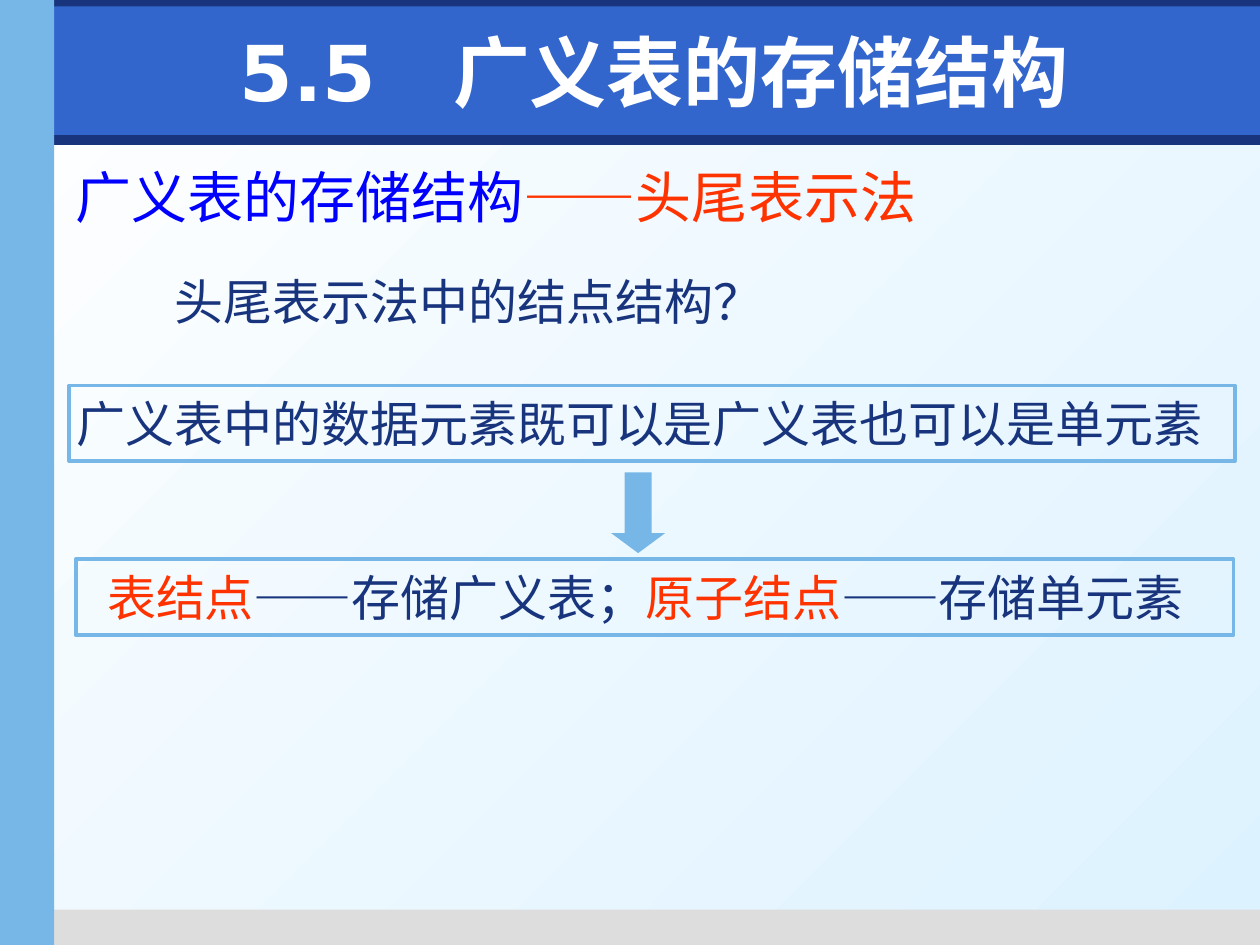
from typing import NamedTuple

from lxml import etree
from pptx import Presentation
from pptx.dml.color import RGBColor
from pptx.enum.shapes import MSO_SHAPE
from pptx.enum.text import MSO_ANCHOR, PP_ALIGN
from pptx.oxml.ns import qn
from pptx.util import Inches, Pt

RECTANGLE, DOWN_ARROW = MSO_SHAPE.RECTANGLE, MSO_SHAPE.DOWN_ARROW
MIDDLE = MSO_ANCHOR.MIDDLE
LEFT, CENTER = PP_ALIGN.LEFT, PP_ALIGN.CENTER

WIDTH, HEIGHT = Inches(10), Inches(7.5)
COLUMNS, ROWS = 100, 75
NAVY, BLUE, SKY, GREY = "17347D", "3366CC", "77B7E7", "DDDDDD"
WHITE, PALE, HEADING, RED = "FFFFFF", "DDF2FF", "0000FF", "FF3300"
SANS, ARIAL, TITLE_FONT = "Noto Sans CJK SC", "Arial", "DejaVu Sans"


class Area(NamedTuple):
    column: float
    row: float
    columns: float
    rows: float


class Block(NamedTuple):
    area: Area
    fill: str
    kind: int = RECTANGLE


class Span(NamedTuple):
    text: str
    color: str = NAVY
    font: str = ARIAL


class Line(NamedTuple):
    area: Area
    spans: list[Span]
    size: int = 28
    bold: bool = False
    align: int = LEFT
    indent: float = 1
    framed: bool = False


BLOCKS = [
    Block(Area(0.4, 10.7, 99.6, 0.8), NAVY),
    Block(Area(3.5, 72.2, 96.5, 2.8), GREY),
    Block(Area(0, 0, 100, 2.1), NAVY),
    Block(Area(4.3, 0.5, 95.7, 10.2), BLUE),
    Block(Area(0, 0, 4.3, 75), SKY),
    Block(Area(48.5, 37.5, 4.3, 6.4), SKY, DOWN_ARROW),
]

LINES = [
    Line(Area(5, 12.4, 83.3, 6.3),
         [Span("广义表的存储结构", HEADING, SANS), Span("——头尾表示法", RED, SANS)], size=32),
    Line(Area(5.5, 30.6, 92.5, 6),
         [Span("广义表中的数据元素既可以是广义表也可以是单元素", font=SANS)], indent=0.6, framed=True),
    Line(Area(12.9, 21, 74.5, 5.7), [Span("头尾表示法中的结点结构？")]),
    Line(Area(6, 44.4, 91.9, 6),
         [Span("表结点", RED), Span("——", font=SANS), Span("存储广义表；"),
          Span("原子结点", RED), Span("——", font=SANS), Span("存储单元素")],
         indent=2.5, framed=True),
    Line(Area(5.9, 1.3, 92.1, 8.7), [Span("5.5　广义表的存储结构", WHITE, TITLE_FONT)],
         size=44, bold=True, align=CENTER),
]


def paint(color_format, value: str) -> None:
    """Set a colour format from a hex string."""
    color_format.rgb = RGBColor.from_string(value)


def place(area: Area) -> tuple[int, int, int, int]:
    """Turn grid cells into slide lengths."""
    across, down = WIDTH / COLUMNS, HEIGHT / ROWS
    return (round(area.column * across), round(area.row * down),
            round(area.columns * across), round(area.rows * down))


def draw_block(slide, block: Block) -> None:
    """Draw a plain filled shape."""
    shape = slide.shapes.add_shape(block.kind, *place(block.area))
    shape.shadow.inherit = False
    shape.fill.solid()
    paint(shape.fill.fore_color, block.fill)
    shape.line.fill.background()
    if block.kind == DOWN_ARROW:
        shape.adjustments[1] = 0.37


def draw_line(slide, line: Line) -> None:
    """Draw one line of text, with a frame where wanted."""
    if line.framed:
        box = slide.shapes.add_shape(RECTANGLE, *place(line.area))
        box.shadow.inherit = False
        box.fill.background()
        paint(box.line.color, SKY)
        box.line.width = Pt(2.25)
    else:
        box = slide.shapes.add_textbox(*place(line.area))
    frame_format = {
        "word_wrap": True,
        "vertical_anchor": MIDDLE,
        "margin_left": round(line.indent * WIDTH / COLUMNS),
        "margin_right": 0 if line.framed else Inches(0.1),
        "margin_top": 0,
        "margin_bottom": 0,
    }
    for name, value in frame_format.items():
        setattr(box.text_frame, name, value)
    para = box.text_frame.paragraphs[0]
    para.alignment = line.align
    for span in line.spans:
        run = para.add_run()
        run.text = span.text
        font_format = {"size": Pt(line.size), "bold": line.bold, "name": span.font}
        for name, value in font_format.items():
            setattr(run.font, name, value)
        paint(run.font.color, span.color)
        etree.SubElement(run.font._element, qn("a:ea"), typeface=SANS)


def draw_background(slide) -> None:
    """Fill the slide with the diagonal gradient."""
    fill = slide.background.fill
    fill.gradient()
    fill.gradient_angle = 315
    for stop, position, value in zip(fill.gradient_stops, (0, 1), (WHITE, PALE)):
        stop.position = position
        paint(stop.color, value)


def main() -> None:
    """Build and save the deck."""
    deck = Presentation()
    deck.slide_width, deck.slide_height = WIDTH, HEIGHT
    page = deck.slides.add_slide(deck.slide_layouts[6])
    draw_background(page)
    for block in BLOCKS:
        draw_block(page, block)
    for line in LINES:
        draw_line(page, line)
    deck.save("out.pptx")


if __name__ == "__main__":
    main()
